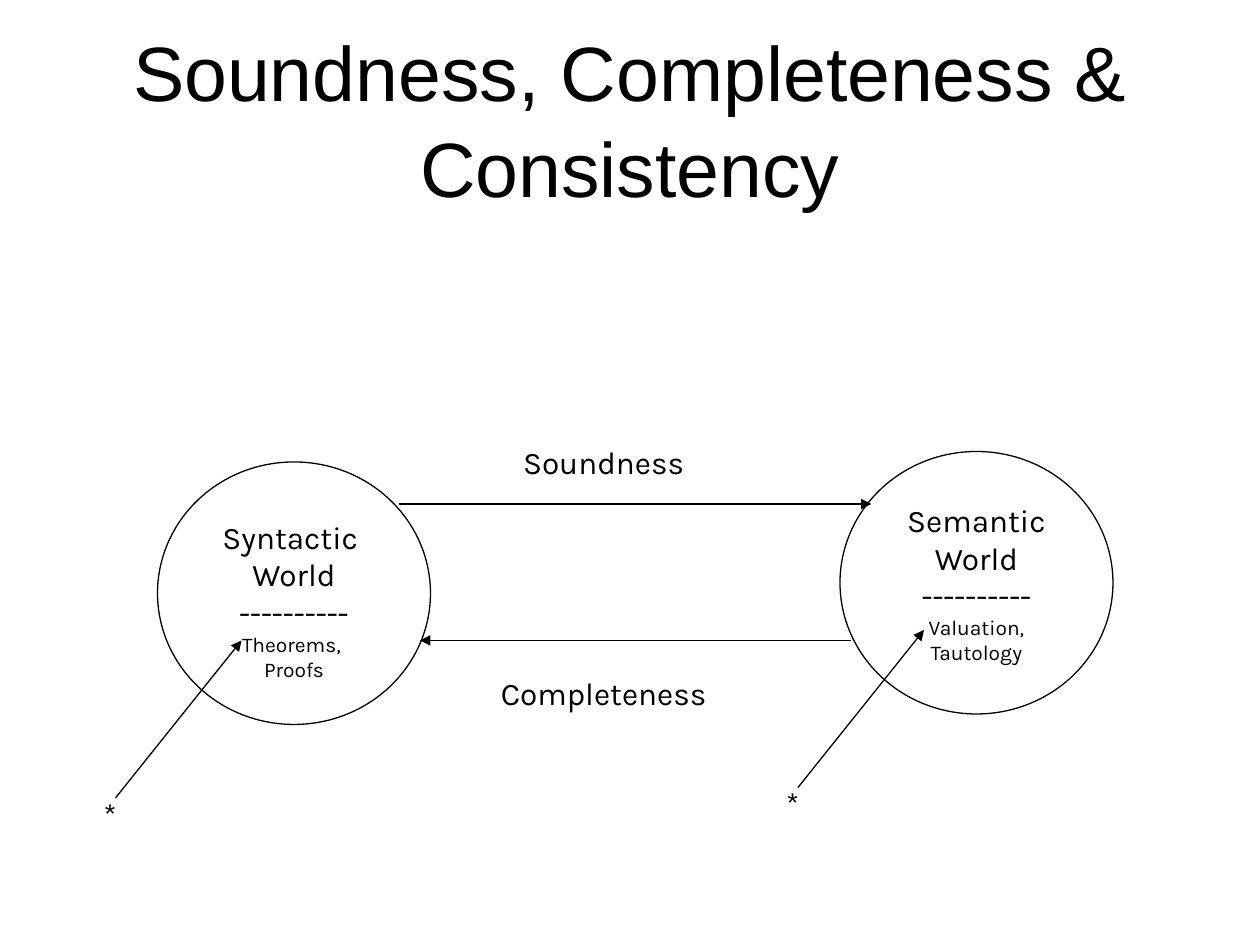
"""Build the slide on soundness, completeness and consistency."""
from lxml import etree
from pptx import Presentation
from pptx.dml.color import RGBColor
from pptx.enum.shapes import MSO_CONNECTOR, MSO_SHAPE
from pptx.enum.text import MSO_ANCHOR, MSO_AUTO_SIZE, PP_ALIGN
from pptx.oxml.ns import qn
from pptx.util import Inches, Pt

OVAL, RECT, LINE = MSO_SHAPE.OVAL, MSO_SHAPE.RECTANGLE, MSO_CONNECTOR.STRAIGHT
MIDDLE, CENTER, NO_FIT = MSO_ANCHOR.MIDDLE, PP_ALIGN.CENTER, MSO_AUTO_SIZE.NONE

TITLE = "Soundness, Completeness &\vConsistency"
WORLDS = [
    {"offset": (0, 0), "top_inset": 0.15, "heads": ["Syntactic ", "World", "----------"],
     "details": ["Theorems, ", "Proofs"]},
    {"offset": (65, -1), "top_inset": 0.05, "heads": ["Semantic", "World", "----------"],
     "details": ["Valuation,", "Tautology"]},
]
RELATIONS = [
    {"name": "Soundness", "label": (45, 41, 25, 6), "arrow": (38, 48, 83, 48)},
    {"name": "Completeness", "label": (45, 63, 25, 6), "arrow": (81, 61, 40, 61)},
]
WORLD_BOX = (15, 44, 26, 25)
STAR_BOX = (7, 75, 7, 5)
STAR_ARROW = (11, 76, 23, 61)
COLORS = {"ink": "000000", "paper": "FFFFFF"}
HEAD, DETAIL = 18, 12
CELL = Inches(1) // 12


def color(name):
    return RGBColor.from_string(COLORS[name])


def grid(values):
    return [v * CELL for v in values]


def style(font, name, size):
    for key, value in {"name": name, "size": Pt(size)}.items():
        setattr(font, key, value)
    font.color.rgb = color("ink")


def add_box(slide, kind, box, outline, lines, top_inset=0.05):
    s = slide.shapes.add_shape(kind, *grid(box))
    s.shadow.inherit = False
    s.fill.background()
    s.line.color.rgb = color(outline)
    s.line.width = Pt(0.75)
    tf = s.text_frame
    frame = {"word_wrap": False, "vertical_anchor": MIDDLE, "margin_top": Inches(top_inset)}
    for key, value in frame.items():
        setattr(tf, key, value)
    for i, (text, size) in enumerate(lines):
        p = tf.add_paragraph() if i else tf.paragraphs[0]
        p.alignment = CENTER
        r = p.add_run()
        r.text = text
        style(r.font, "Karla", size)


def add_arrow(slide, ends):
    s = slide.shapes.add_connector(LINE, *grid(ends))
    s.line.color.rgb = color("ink")
    s.line.width = Pt(0.75)
    etree.SubElement(s.line._get_or_add_ln(), qn("a:tailEnd"), type="triangle")
    etree.SubElement(s._element.spPr, qn("a:effectLst"))


def add_title(slide):
    s = slide.shapes.title
    s.left, s.top, s.width, s.height = map(Inches, (0.5, 0.3, 9, 1.25))
    tf = s.text_frame
    tf.text = TITLE
    tf.auto_size = NO_FIT
    tf.vertical_anchor = MIDDLE
    p = tf.paragraphs[0]
    p.alignment = CENTER
    p.line_spacing = 1.04
    for r in p.runs:
        style(r.font, "Arial", 44)


def main():
    prs = Presentation()
    prs.slide_width, prs.slide_height = Inches(10), Inches(7.5)
    slide = prs.slides.add_slide(prs.slide_layouts[5])
    add_title(slide)
    for world in WORLDS:
        dx, dy = world["offset"]
        lines = [(t, HEAD) for t in world["heads"]] + [(t, DETAIL) for t in world["details"]]
        x, y, w, h = WORLD_BOX
        add_box(slide, OVAL, (x + dx, y + dy, w, h), "ink", lines, world["top_inset"])
        x, y, w, h = STAR_BOX
        add_box(slide, RECT, (x + dx, y + dy, w, h), "paper", [("*", HEAD)])
        x1, y1, x2, y2 = STAR_ARROW
        add_arrow(slide, (x1 + dx, y1 + dy, x2 + dx, y2 + dy))
    for relation in RELATIONS:
        add_arrow(slide, relation["arrow"])
        add_box(slide, RECT, relation["label"], "paper", [(relation["name"], HEAD)])
    prs.save("out.pptx")


if __name__ == "__main__":
    main()
